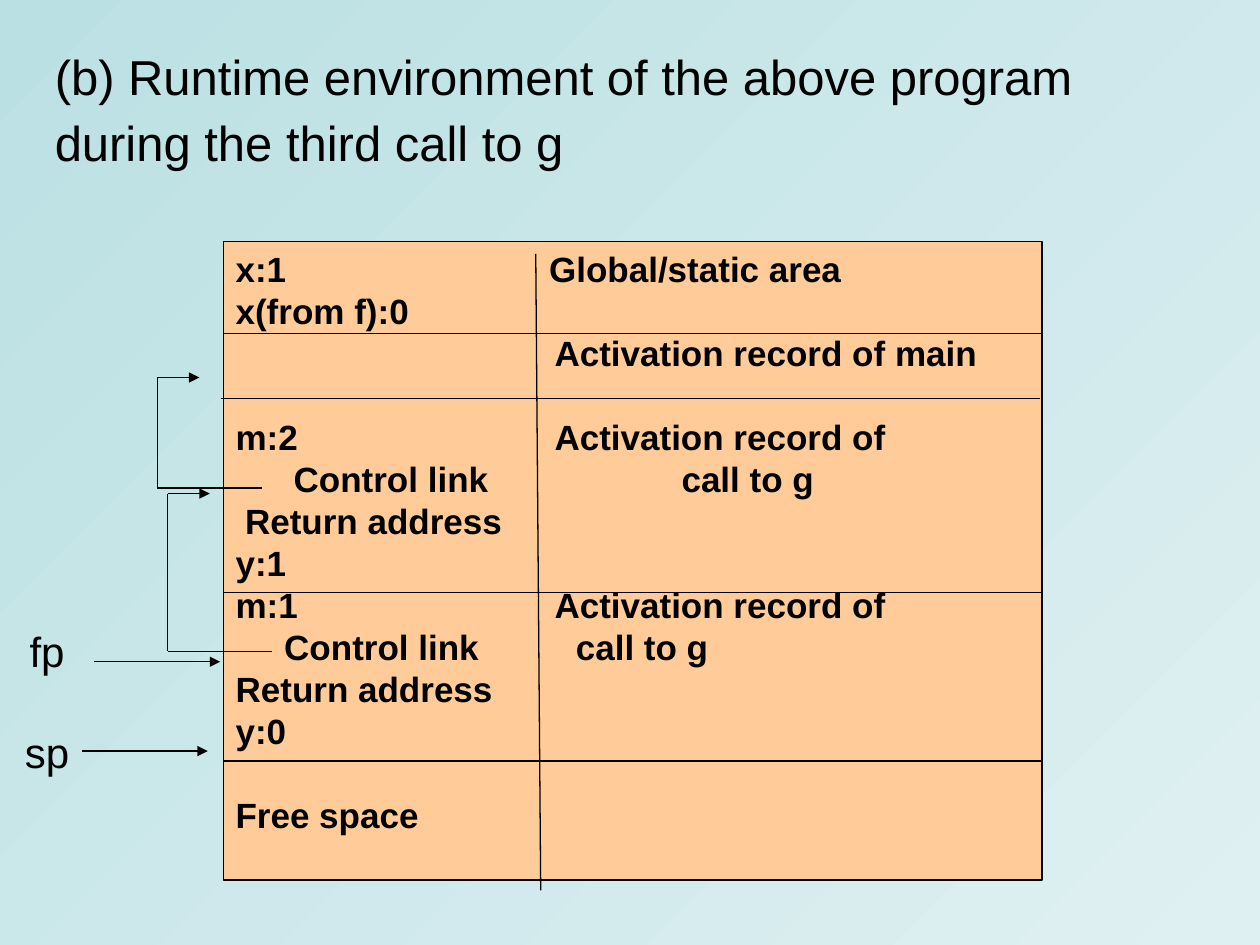
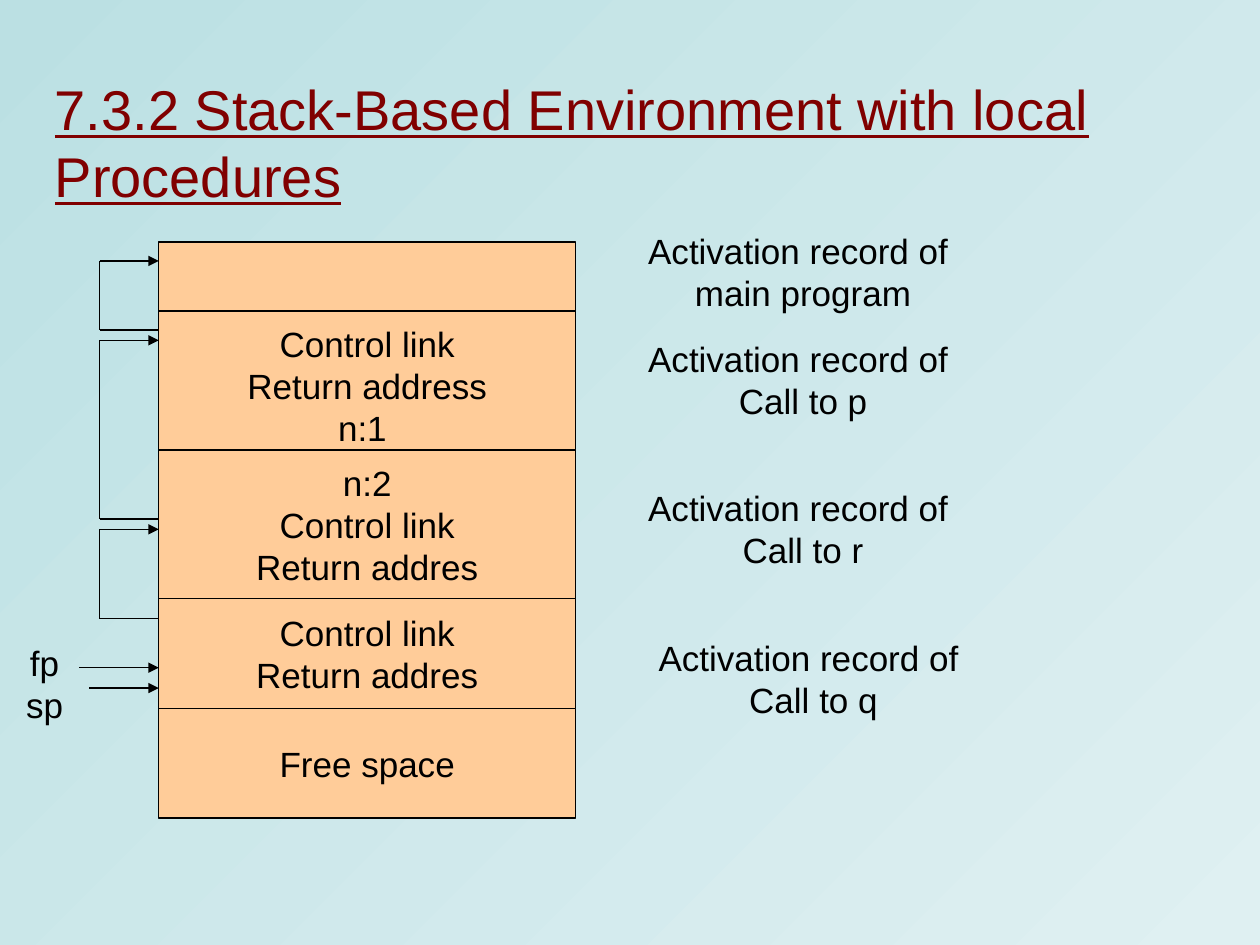
from itertools import pairwise

from lxml.etree import SubElement
from pptx import Presentation
from pptx.dml.color import RGBColor
from pptx.enum.shapes import MSO_CONNECTOR, MSO_SHAPE
from pptx.enum.text import MSO_ANCHOR, MSO_AUTO_SIZE, PP_ALIGN
from pptx.oxml.ns import qn
from pptx.util import Cm, Pt

FONT = "Arial"
INK, RED, PEACH = "000000", "800000", "FFCC99"
SKY = ["BBE0E3", "DFF0F2"]
hue = RGBColor.from_string


def write(shape, lines, size=20, color=INK, bold=False, under=False, lead=None,
          align=PP_ALIGN.CENTER, anchor=MSO_ANCHOR.MIDDLE, fill=None,
          tabs=None, gaps=None):
    """Fill a shape with lines; tabs and gaps are keyed by line number."""
    if fill:
        shape.shadow.inherit = False
        shape.fill.solid()
        shape.fill.fore_color.rgb = hue(fill)
        shape.line.color.rgb = hue(INK)
        shape.line.width = Pt(0.75)
    frame = shape.text_frame
    frame.auto_size = MSO_AUTO_SIZE.NONE
    frame.word_wrap = True
    frame.vertical_anchor = anchor
    frame.text = "\n".join(lines)
    for row, para in enumerate(frame.paragraphs):
        if tabs and row in tabs:
            stops = SubElement(para._p.get_or_add_pPr(), qn("a:tabLst"))
            for stop in tabs[row]:
                SubElement(stops, qn("a:tab"), pos=str(Cm(stop)), algn="l")
        para.alignment = align
        para.line_spacing = Pt(lead or size * 1.2)
        para.space_before = Pt((gaps or {}).get(row, 0))
        font = para.font
        font.name, font.size = FONT, Pt(size)
        font.bold, font.underline = bold, under
        font.color.rgb = hue(color)


def draw(slide, points, arrow=True):
    """Join the points with straight lines, with a head at the last one."""
    for start, end in pairwise(points):
        line = slide.shapes.add_connector(
            MSO_CONNECTOR.STRAIGHT, *map(Cm, start + end))
        line.line.color.rgb = hue(INK)
        line.line.width = Pt(0.75)
        SubElement(line._element.spPr, qn("a:effectLst"))
    if arrow:
        SubElement(line.line._get_or_add_ln(), qn("a:tailEnd"), type="triangle")


deck = Presentation()
deck.slide_width, deck.slide_height = Cm(25.4), Cm(19.05)

# Shared background
back = deck.slide_master.background.fill
back.gradient()
back.gradient_angle = 315
for stop, tone, place in zip(back.gradient_stops, SKY, (0, 1)):
    stop.color.rgb = hue(tone)
    stop.position = place

# Slides and titles
slides = []
for text, place, form in [
    ("(b) Runtime environment of the above program during the third call to g",
     (0.85, 1.27, 23.28, 1.69), dict(size=28, lead=38)),
    ("7.3.2 Stack-Based Environment with local Procedures",
     (0.85, 2.11, 23.7, 1.48), dict(size=32, color=RED, under=True)),
]:
    slide = deck.slides.add_slide(deck.slide_layouts[5])
    title = slide.shapes.title
    title.left, title.top, title.width, title.height = map(Cm, place)
    write(title, [text], align=PP_ALIGN.LEFT, **form)
    slides.append(slide)
calls, stack = slides

# Slide 1: memory of the nested calls
left, right = 4.5, 21.01
area = calls.shapes.add_shape(
    MSO_SHAPE.RECTANGLE, *map(Cm, (left, 4.87, right - left, 12.87)))
write(area, [
    "x:1\tGlobal/static area",
    "x(from f):0",
    "\tActivation record of main",
    "m:2\tActivation record of",
    "\tControl link\tcall to g",
    "\tReturn address",
    "y:1",
    "m:1\tActivation record of",
    "\tControl link\tcall to g",
    "Return address",
    "y:0",
    "Free space",
], bold=True, align=PP_ALIGN.LEFT, anchor=MSO_ANCHOR.TOP, fill=PEACH,
    tabs={0: [6.32], 2: [6.43], 3: [6.43], 4: [1.17, 8.99], 5: [0.19],
          7: [6.43], 8: [0.98, 6.86]},
    gaps={3: 24, 11: 24})

# Dividers
draw(calls, [(10.8, 5.12), (10.9, 17.95)], arrow=False)
for y, shift in [(6.72, 0), (8.04, -0.05), (11.94, 0), (15.34, 0)]:
    draw(calls, [(left + shift, y), (right + shift, y)], arrow=False)

# Control links and pointers
for x, low, high in [(3.17, 9.84, 7.61), (3.38, 13.13, 9.95)]:
    draw(calls, [(x + 2.11, low), (x, low), (x, high), (x + 0.85, high)])
for x, y in [(1.9, 13.34), (1.65, 15.14)]:
    draw(calls, [(x, y), (x + 2.54, y)])
names = calls.shapes.add_textbox(*map(Cm, (0, 13.13, 1.9, 2.01)))
write(names, ["fp", "sp"], size=24, gaps={1: 28.8})

# Slide 2: stack of records
left = 3.2
for top, high, lines in [
    (4.88, 1.4, []),
    (6.27, 3, ["Control link", "Return address", "n:1 "]),
    (9.07, 3, ["n:2", "Control link", "Return addres"]),
    (12.07, 2.21, ["Control link", "Return addres"]),
    (14.28, 2.21, ["Free space"]),
]:
    cell = stack.shapes.add_shape(
        MSO_SHAPE.RECTANGLE, *map(Cm, (left, top, 8.41, high)))
    write(cell, lines, fill=PEACH)

# Control links and pointers
spine = 2.01
for low, high in [(6.65, 5.26), (10.46, 6.86), (12.47, 10.67)]:
    draw(stack, [(left, low), (spine, low), (spine, high), (left, high)])
for x, y in [(1.6, 13.46), (1.8, 13.87)]:
    draw(stack, [(x, y), (left, y)])
names = stack.shapes.add_textbox(*map(Cm, (0, 13.08, 1.8, 1.4)))
write(names, ["fp", "sp"])

# Record labels
for x, y, owner in [
    (12.19, 4.88, "main program"),
    (12.19, 7.06, "Call to p"),
    (12.19, 10.06, "Call to r"),
    (12.4, 13.08, "Call to q"),
]:
    label = stack.shapes.add_textbox(*map(Cm, (x, y, 8, 1.19)))
    write(label, ["Activation record of ", owner])

deck.save("out.pptx")
